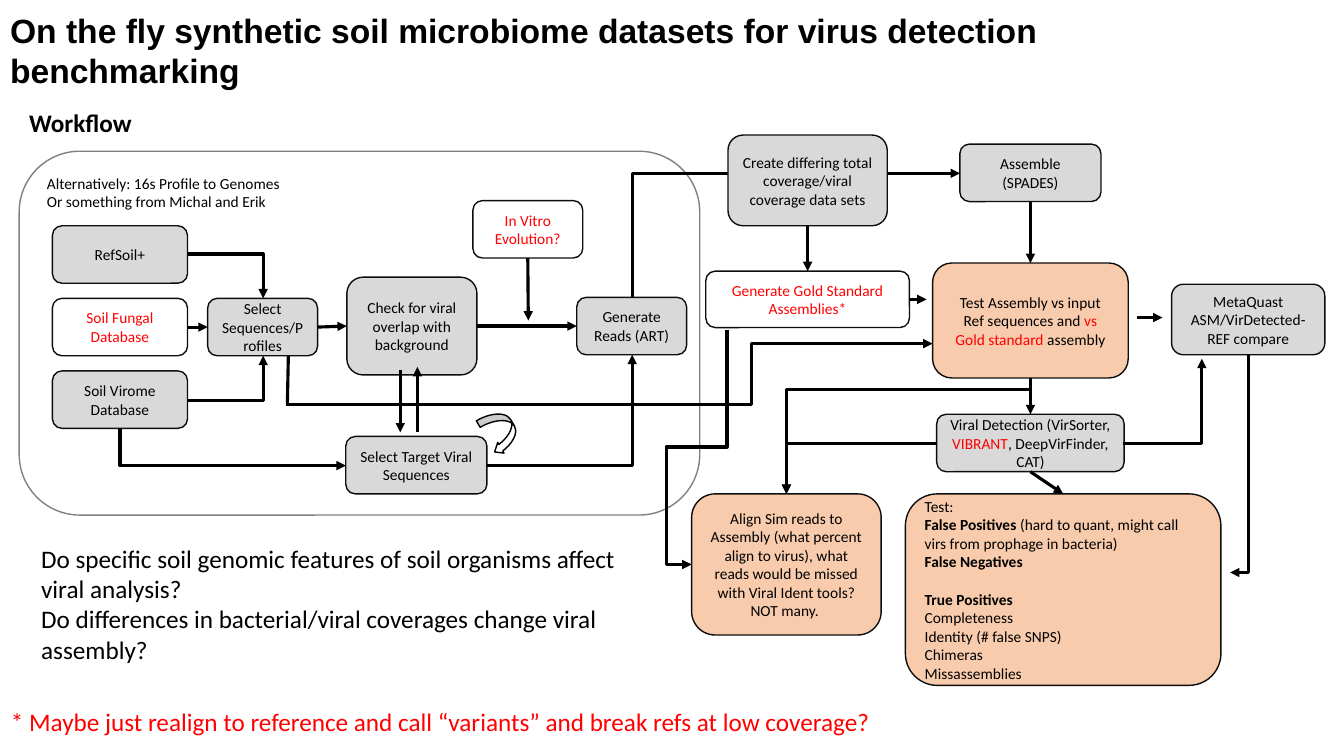
from dataclasses import dataclass

from lxml import etree
from pptx import Presentation
from pptx import util as u
from pptx.dml.color import RGBColor
from pptx.enum import shapes, text
from pptx.oxml import ns

COLORS = {
    "black": "000000", "white": "FFFFFF", "red": "FF0000", "gray": "D9D9D9",
    "peach": "F8CBAD", "edge": "0D0D0D", "frame": "808080",
}
LEFT, CENTER = text.PP_ALIGN.LEFT, text.PP_ALIGN.CENTER
TOP, MIDDLE = text.MSO_ANCHOR.TOP, text.MSO_ANCHOR.MIDDLE
SHAPE = shapes.MSO_SHAPE
Point = tuple[float, float]
Rect = tuple[float, float, float, float]


@dataclass
class Run:
    text: str
    color: str = "black"
    bold: bool = False


@dataclass
class Para:
    runs: list[Run]
    space_before: float = 0


@dataclass
class Box:
    name: str
    rect: Rect
    paras: list[Para]
    fill: str = "gray"
    align: text.PP_ALIGN = CENTER
    anchor: text.MSO_ANCHOR = MIDDLE
    edge: str = "edge"


@dataclass
class Label:
    rect: Rect
    paras: list[Para]
    wrap: bool = True


@dataclass
class Site:
    box: str
    index: int


@dataclass
class Link:
    start: Point | Site
    end: Point | Site
    arrow: bool = True


@dataclass
class Elbow:
    start: Point
    end: Point
    vertical_first: bool = False
    bends: tuple[float, ...] = ()


def say(words: str, color: str = "black", bold: bool = False, space: float = 0) -> Para:
    return Para([Run(words, color, bold)], space)


PANEL = Box("panel", (0.19, 1.5, 6.75, 3.61),
            [say("Alternatively: 16s Profile to Genomes"), say("Or something from Michal and Erik")],
            "white", LEFT, TOP, "frame")
BOXES = [
    Box("refsoil", (0.52, 2.24, 1.34, 0.57), [say("RefSoil+")]),
    Box("fungal", (0.52, 2.96, 1.34, 0.57), [say("Soil Fungal Database", "red")], "white"),
    Box("virome", (0.52, 3.68, 1.34, 0.57), [say("Soil Virome Database")]),
    Box("select", (2.06, 2.96, 1.09, 0.57), [say("Select Sequences/Profiles")]),
    Box("target", (3.43, 4.33, 1.4, 0.57), [say("Select Target Viral Sequences")]),
    Box("overlap", (3.44, 2.75, 1.29, 0.97), [say("Check for viral overlap with background")]),
    Box("assemble", (9.52, 1.43, 1.4, 0.57), [say("Assemble (SPADES)")]),
    Box("coverage", (7.22, 1.34, 1.58, 0.9), [say("Create differing total coverage/viral coverage data sets")]),
    Box("reads", (5.72, 2.95, 1.09, 0.57), [say("Generate Reads (ART)")]),
    Box("results", (8.98, 4.9, 3.13, 1.9), [
        say("Test:"),
        Para([Run("False Positives ", bold=True),
              Run("(hard to quant, might call virs from prophage in bacteria)")]),
        say("False Negatives", bold=True),
        say("True Positives", bold=True, space=13.4),
        say("Completeness"), say("Identity (# false SNPS)"), say("Chimeras"), say("Missassemblies"),
    ], "peach", LEFT),
    Box("detection", (9.29, 4.11, 1.86, 0.57), [Para([
        Run("Viral Detection (VirSorter, "), Run("VIBRANT", "red"), Run(", DeepVirFinder, CAT)")])]),
    Box("comparison", (9.25, 2.61, 1.94, 1.14), [Para([
        Run("Test Assembly vs input Ref sequences and "), Run("vs Gold standard ", "red"),
        Run("assembly")])], "peach"),
    Box("gold", (7, 2.69, 2.02, 0.56), [say("Generate Gold Standard Assemblies*", "red")], "white"),
    Box("evolution", (4.69, 1.99, 1.09, 0.57), [say("In Vitro Evolution?", "red")], "white"),
    Box("metaquast", (11.62, 2.82, 1.52, 0.7), [say("MetaQuast"), say("ASM/VirDetected-REF compare")]),
    Box("align", (6.86, 4.9, 1.88, 1.4), [
        say("Align Sim reads to Assembly (what percent align to virus), what reads would be "
            "missed with Viral Ident tools?"),
        say("NOT many. ")], "peach"),
]
LABELS = [
    Label((0.01, 6.96, 8.89, 0.4),
          [say("* Maybe just realign to reference and call “variants” and break refs at low coverage?", "red")]),
    Label((0.31, 5.34, 5.96, 1.31), [
        say("Do specific soil genomic features of soil organisms affect viral analysis?"),
        say("Do differences in bacterial/viral coverages change viral assembly?")]),
    Label((0.19, 1.02, 1.23, 0.4), [say("Workflow", bold=True)], False),
]
LINKS = [
    Link(Site("fungal", 3), Site("select", 1)),
    Link(Site("select", 3), Site("overlap", 1)),
    Link((4.14, 4.29), (4.14, 3.64)),
    Link((3.97, 3.67), (3.97, 4.29)),
    Link(Site("assemble", 2), Site("comparison", 0)),
    Link(Site("overlap", 3), Site("reads", 1)),
    Link(Site("detection", 2), Site("results", 0)),
    Link((2.86, 3.53), (2.85, 4.01), False),
    Link(Site("coverage", 2), Site("gold", 0)),
    Link(Site("gold", 3), (9.19, 2.97)),
    Link(Site("evolution", 2), (5.24, 3.18)),
    Link(Site("comparison", 2), Site("detection", 0)),
    Link((11.28, 3.15), (11.53, 3.15)),
]
READS_TO_ASSEMBLE = Elbow((6.27, 2.95), (9.52, 1.72), True)
ELBOWS = [
    Elbow((1.86, 2.52), (2.61, 2.96)),
    Elbow((1.86, 3.97), (2.61, 3.53)),
    Elbow((1.19, 4.25), (3.43, 4.62), True),
    Elbow((2.84, 4.01), (9.25, 3.41), bends=(0.72,)),
    Elbow((4.83, 4.62), (6.27, 3.52)),
    Elbow((12.38, 3.52), (12.2, 5.68), True, (1.0,)),
    Elbow((10.22, 3.75), (7.8, 4.9), True, (0.1,)),
    Elbow((11.14, 4.4), (11.92, 3.56)),
    Elbow((9.29, 4.4), (7.8, 4.9)),
    Elbow((7.21, 3.27), (6.86, 5.6), True, (0.5, 1.72)),
]


def rgb(name: str) -> RGBColor:
    return RGBColor.from_string(COLORS[name])


def inches(values: tuple[float, ...]) -> list[u.Length]:
    return [u.Inches(v) for v in values]


def write(tf, paras: list[Para], size: float, align=LEFT, anchor=TOP, wrap=True, face="Calibri") -> None:
    tf.word_wrap, tf.vertical_anchor = wrap, anchor
    tf.auto_size = text.MSO_AUTO_SIZE.NONE
    for i, para in enumerate(paras):
        p = tf.add_paragraph() if i else tf.paragraphs[0]
        p.alignment, p.space_before = align, u.Pt(para.space_before)
        base = para.runs[0]
        p.font.name, p.font.size, p.font.bold = face, u.Pt(size), base.bold
        p.font.color.rgb = rgb(base.color)
        for run in para.runs:
            r = p.add_run()
            r.text = run.text
            if run.bold != base.bold:
                r.font.bold = run.bold
            if run.color != base.color:
                r.font.color.rgb = rgb(run.color)


def add_filled(slide, kind, rect: Rect, fill: str, edge: str):
    sp = slide.shapes.add_shape(kind, *inches(rect))
    sp.shadow.inherit = False
    sp.fill.solid()
    sp.fill.fore_color.rgb = rgb(fill)
    sp.line.color.rgb, sp.line.width = rgb(edge), u.Pt(1)
    return sp


def add_box(slide, box: Box):
    sp = add_filled(slide, SHAPE.ROUNDED_RECTANGLE, box.rect, box.fill, box.edge)
    write(sp.text_frame, box.paras, 11, box.align, box.anchor)
    return sp


def style_line(cxn, arrow: bool = True) -> None:
    cxn.line.color.rgb, cxn.line.width = rgb("black"), u.Pt(2.25)
    if arrow:
        etree.SubElement(cxn.line._get_or_add_ln(), ns.qn("a:tailEnd"), type="triangle")
    etree.SubElement(cxn._element.spPr, ns.qn("a:effectLst"))


def add_link(slide, link: Link, boxes: dict) -> None:
    points = [(0, 0) if isinstance(e, Site) else e for e in (link.start, link.end)]
    cxn = slide.shapes.add_connector(shapes.MSO_CONNECTOR.STRAIGHT, *inches(points[0] + points[1]))
    for end, join in ((link.start, cxn.begin_connect), (link.end, cxn.end_connect)):
        if isinstance(end, Site):
            join(boxes[end.box], end.index)
    style_line(cxn, link.arrow)


def add_elbow(slide, elbow: Elbow) -> None:
    (x1, y1), (x2, y2) = elbow.start, elbow.end
    w, h, flip_h, flip_v = abs(x2 - x1), abs(y2 - y1), x2 < x1, y2 < y1
    if elbow.vertical_first:
        w, h, flip_h, flip_v = h, w, y2 < y1, x2 > x1
    left, top = (x1 + x2 - w) / 2, (y1 + y2 - h) / 2
    cxn = slide.shapes.add_connector(shapes.MSO_CONNECTOR.ELBOW, *inches((left, top, left + w, top + h)))
    xfrm = cxn._element.spPr.find(ns.qn("a:xfrm"))
    xfrm.set("rot", str(90 * 60000 * elbow.vertical_first))
    xfrm.set("flipH", str(int(flip_h)))
    xfrm.set("flipV", str(int(flip_v)))
    geom = cxn._element.spPr.find(ns.qn("a:prstGeom"))
    geom.set("prst", f"bentConnector{2 + len(elbow.bends)}")
    for i, bend in enumerate(elbow.bends, 1):
        etree.SubElement(geom.find(ns.qn("a:avLst")), ns.qn("a:gd"),
                         name=f"adj{i}", fmla=f"val {round(bend * 100000)}")
    style_line(cxn)


def main() -> None:
    prs = Presentation()
    prs.slide_width, prs.slide_height = inches((13.33, 7.5))
    slide = prs.slides.add_slide(prs.slide_layouts[5])
    title = slide.shapes.title
    title.left, title.top, title.width, title.height = inches((0, -0.13, 12, 1.25))
    heading = "On the fly synthetic soil microbiome datasets for virus detection benchmarking"
    write(title.text_frame, [say(heading, bold=True)], 24, anchor=MIDDLE, face="Arial")

    add_box(slide, PANEL)
    add_elbow(slide, READS_TO_ASSEMBLE)
    boxes = {box.name: add_box(slide, box) for box in BOXES}
    for link in LINKS:
        add_link(slide, link, boxes)
    for elbow in ELBOWS:
        add_elbow(slide, elbow)

    loop = add_filled(slide, SHAPE.CURVED_LEFT_ARROW, (4.81, 4.07, 0.3, 0.42), "white", "black")
    loop.rotation = 329.6
    loop.adjustments[1] = 0.41

    for label in LABELS:
        sp = slide.shapes.add_textbox(*inches(label.rect))
        write(sp.text_frame, label.paras, 18, wrap=label.wrap)
    prs.save("out.pptx")


if __name__ == "__main__":
    main()
